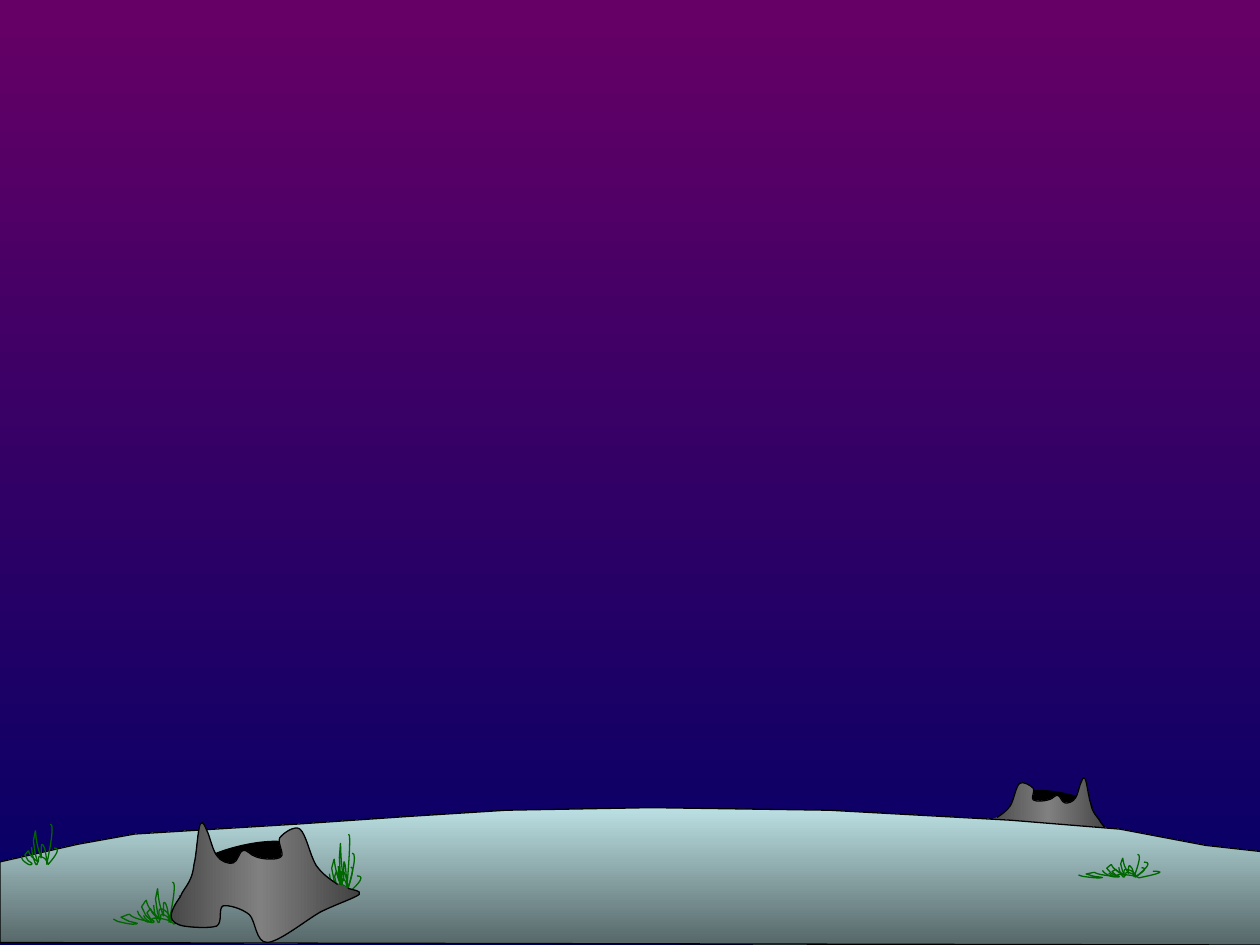
from copy import deepcopy
from math import cos, radians, sin
from pptx import Presentation
from pptx.dml.color import RGBColor
from pptx.enum.shapes import MSO_SHAPE
from pptx.oxml.ns import qn
from pptx.util import Pt
from lxml.etree import SubElement

deck = Presentation()
deck.slide_width, deck.slide_height = Pt(720), Pt(540)
slide = deck.slides.add_slide(deck.slide_layouts[6])


def paint(fill, *hues, angle=0):
    """Fill with one flat colour, or with evenly spaced gradient stops."""
    if len(hues) == 1:
        fill.solid()
        fill.fore_color.rgb = RGBColor.from_string(hues[0])
        return
    fill.gradient()
    fill.gradient_angle = angle
    first = fill.gradient_stops[0]._gs
    for _ in hues[2:]:
        first.addnext(deepcopy(first))
    for i, (stop, hue) in enumerate(zip(fill.gradient_stops, hues)):
        stop.color.rgb = RGBColor.from_string(hue)
        stop.position = i / (len(hues) - 1)


def curve(shapes, box, grid, dots):
    """Draw a chain of Bezier curves, given on a grid stretched over the box."""
    x, y, w, h = box
    pen = shapes.build_freeform(Pt(x), Pt(y))
    pen.add_line_segments([(Pt(x + w), Pt(y + h))], close=False)
    shape = pen.convert_to_shape()
    shape.shadow.inherit = False
    shape.line.width = Pt(0.75)
    track = shape._element.spPr.find(".//" + qn("a:path"))
    for old in list(track):
        track.remove(old)
    for side, size in zip("wh", grid):
        track.set(side, str(size * 100))
    for i, (a, b) in enumerate(dots):
        if i == 0:
            step = SubElement(track, qn("a:moveTo"))
        elif i % 3 == 1:
            step = SubElement(track, qn("a:cubicBezTo"))
        SubElement(step, qn("a:pt"), x=str(round(a * 100)), y=str(round(b * 100)))
    return shape


paint(slide.background.fill, "660066", "000066", angle=270)

# The stump outline is listed as it stands when tilted, then set upright
tilted = [
    (268, 702), (262, 698), (256, 694), (251, 687), (246, 679), (243, 662), (238, 658),
    (234, 655), (225, 661), (222, 665), (220, 669), (226, 678), (223, 680),
    (220, 683), (208, 682), (203, 680), (199, 679), (196, 674), (193, 675),
    (190, 675), (189, 684), (185, 685), (182, 686), (175, 684), (172, 679),
    (169, 675), (167, 666), (165, 661), (163, 657), (161, 650), (159, 654),
    (157, 658), (156, 679), (154, 686), (153, 694), (152, 696), (150, 700),
    (148, 704), (145, 707), (143, 712), (140, 716), (135, 724), (136, 728),
    (136, 731), (140, 734), (146, 735), (152, 736), (166, 737), (172, 735),
    (177, 732), (173, 721), (177, 719), (181, 718), (192, 721), (198, 726),
    (203, 731), (203, 748), (212, 748), (221, 748), (242, 731), (254, 724),
    (266, 718), (281, 713), (285, 710), (288, 707), (278, 706), (276, 705),
]
tilt = radians(13.1)
bark = []
for x, y in tilted:
    dx, dy = x - 206.5, y - 695.5
    bark.append((76.5 + dx * cos(tilt) - dy * sin(tilt),
                 54.5 + dx * sin(tilt) + dy * cos(tilt)))

stumps = [
    ((586.1, 452.9, 38.2, 9.4), (562.3, 439.9, 72.7, 47.5), 10.7, True),
    ((110.2, 483.1, 58.3, 15.1), (93.6, 461.5, 110.2, 78.5), 346.9, False),
]
groups = []
for hole, box, turn, flip in stumps:
    group = slide.shapes.add_group_shape()
    groups.append(group)
    hollow = group.shapes.add_shape(MSO_SHAPE.OVAL, *[Pt(n) for n in hole])
    hollow.shadow.inherit = False
    hollow.line.width = Pt(0.75)
    paint(hollow.fill, "000000")
    trunk = curve(group.shapes, box, (153, 109), bark)
    paint(trunk.fill, "3B3B3B", "808080", "3B3B3B", angle=180)
    trunk._element.spPr.find(qn("a:gradFill")).set("rotWithShape", "0")
    if flip:
        trunk._element.spPr.xfrm.set("flipH", "1")
    for part in (hollow, trunk):
        part.rotation = turn
        paint(part.line.fill, "000000")

ridge = [
    (0, 492.5), (44.6, 482.4), (77, 476.6), (170, 470.9), (232.6, 466.6),
    (289.4, 463), (372.2, 461.5), (473.8, 463), (577.4, 468.7), (640, 473.8),
    (689, 483.1), (721.4, 486.7), (721.4, 540),
]
pen = slide.shapes.build_freeform(Pt(0), Pt(538.6))
pen.add_line_segments([(Pt(x), Pt(y)) for x, y in ridge], close=True)
ground = pen.convert_to_shape()
ground.shadow.inherit = False
ground.line.width = Pt(0.75)
paint(ground.fill, "BBE0E3", "566768", angle=270)
paint(ground.line.fill, "000000")

# Every stroke of grass is one scribble, stretched to its own box
scribble = [
    (0, 26), (2, 30), (2, 35), (6, 38), (9, 41), (14, 48), (18, 45),
    (22, 42), (14, 38), (12, 34), (10, 29), (8, 24), (6, 19),
    (17, 0), (9, 7), (18, 23), (21, 28), (26, 33), (30, 38),
    (32, 33), (28, 20), (35, 23), (46, 27), (48, 45), (48, 45),
    (52, 37), (75, 0), (59, 0),
]
blades = [
    (23, 0, 13.7, 24.5), (17.3, 13.7, 23.8, 10.1),
    (13.7, 7.9, 30.2, 15.8), (0, 17.3, 54, 7.2),
]
# left, top, stretch across, stretch down, number of blades
tufts = [
    (-5, 470.9, 1, 1, 2), (64.8, 504, 1, 1, 4),
    (616.3, 488.2, 1, 0.56, 4), (180.7, 476.6, 0.55, 1.38, 4),
]
for left, top, wide, tall, count in tufts:
    group = slide.shapes.add_group_shape()
    for x, y, w, h in blades[:count]:
        box = (left + x * wide, top + y * tall, w * wide, h * tall)
        blade = curve(group.shapes, box, (75, 48), scribble)
        blade.fill.background()
        paint(blade.line.fill, "006600")

# The near stump stands in front of the ground and the grass
slide.shapes._spTree.append(groups[1]._element)

deck.save("out.pptx")
